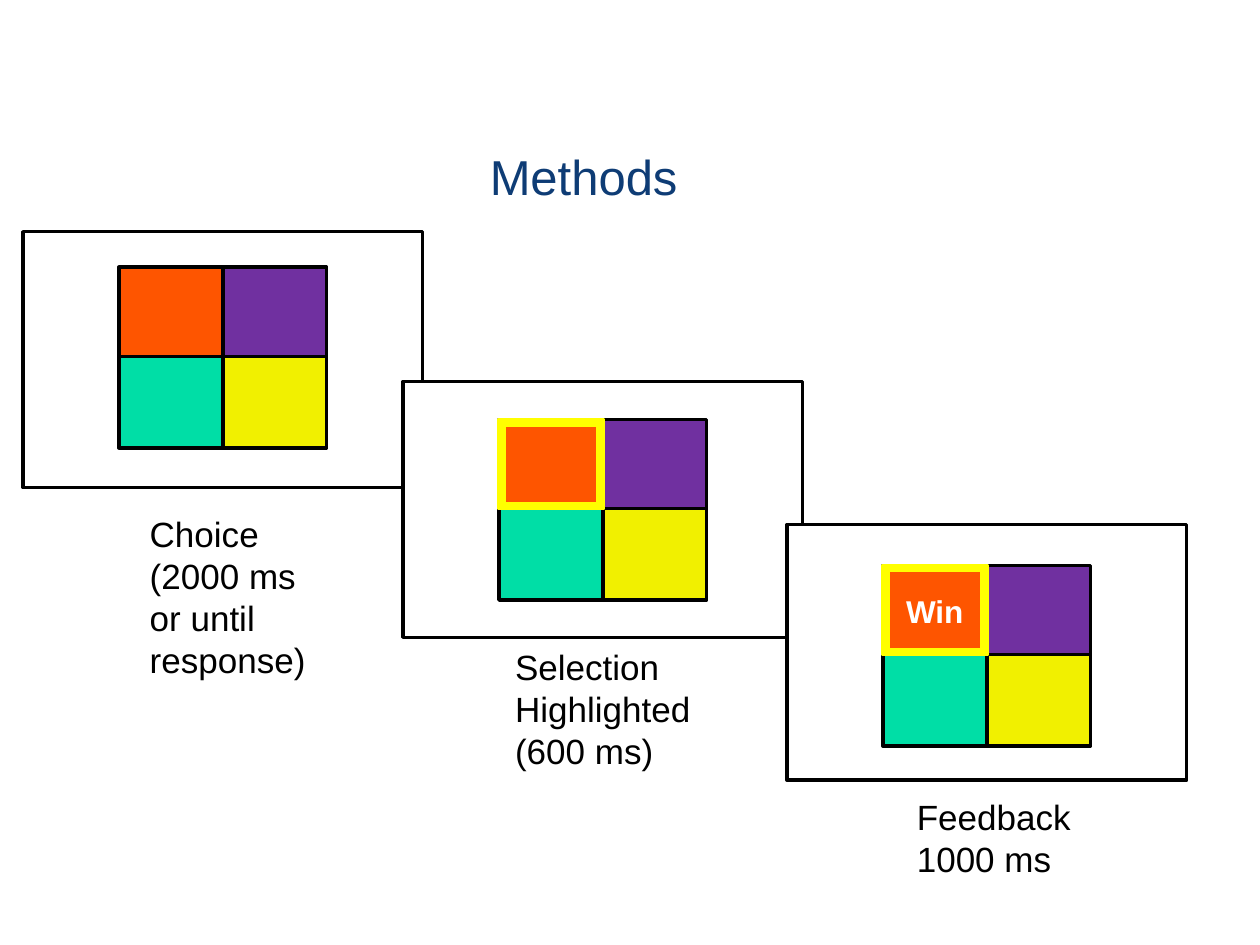
from pptx import Presentation
from pptx.dml.color import RGBColor
from pptx.enum.shapes import MSO_SHAPE
from pptx.enum.text import MSO_ANCHOR, MSO_AUTO_SIZE, PP_ALIGN
from pptx.util import Pt

WHITE = RGBColor(0xFF, 0xFF, 0xFF)
BLACK = RGBColor(0x00, 0x00, 0x00)
NAVY = RGBColor(0x0E, 0x3C, 0x75)
ORANGE = RGBColor(0xFE, 0x55, 0x00)
PURPLE = RGBColor(0x70, 0x30, 0xA0)
GREEN = RGBColor(0x00, 0xDE, 0xA6)
YELLOW = RGBColor(0xF1, 0xF0, 0x00)
HIGHLIGHT = RGBColor(0xFF, 0xFF, 0x00)

CHOICES = [ORANGE, PURPLE, GREEN, YELLOW]
SCREEN_SIZE = (228.3, 146.2)
CELL_SIZE = (59.2, 52.2)
CELL_STEP = (59.5, 51)
GRID_LEFT = 54.8

TITLE_FORMAT = {"size": Pt(28), "name": "Arial", "bold": False}
CAPTION_FORMAT = {"size": Pt(20), "name": "Arial", "bold": False}
OUTCOME_FORMAT = {"size": Pt(18), "name": "Arial", "bold": True}


def write_lines(frame, lines, font_format, color, align):
    for index, line in enumerate(lines):
        paragraph = frame.paragraphs[0] if index == 0 else frame.add_paragraph()
        paragraph.text = line
        paragraph.alignment = align
        for attribute, value in font_format.items():
            setattr(paragraph.font, attribute, value)
        paragraph.font.color.rgb = color


def add_block(shapes, kind, box, fill, outline):
    block = shapes.add_shape(kind, *map(Pt, box))
    block.shadow.inherit = False
    block.fill.solid()
    block.fill.fore_color.rgb = fill
    block.line.color.rgb = outline
    block.line.width = Pt(2)
    return block


def add_title(slide, box):
    frame = slide.shapes.add_textbox(*map(Pt, box)).text_frame
    frame.word_wrap = True
    frame.vertical_anchor = MSO_ANCHOR.MIDDLE
    write_lines(frame, ["Methods"], TITLE_FORMAT, NAVY, PP_ALIGN.CENTER)


def add_caption(slide, box, lines):
    frame = slide.shapes.add_textbox(*map(Pt, box)).text_frame
    frame.word_wrap = True
    frame.auto_size = MSO_AUTO_SIZE.SHAPE_TO_FIT_TEXT
    write_lines(frame, lines, CAPTION_FORMAT, BLACK, PP_ALIGN.LEFT)


def add_screen(slide, box, grid_top, selected, outcome):
    left, top, width, height = box
    shapes = slide.shapes.add_group_shape().shapes
    add_block(shapes, MSO_SHAPE.RECTANGLE, box, WHITE, BLACK)
    grid_x, grid_y = left + GRID_LEFT, top + grid_top
    cells = []
    for index, color in enumerate(CHOICES):
        row, column = divmod(index, 2)
        cell_box = (grid_x + column * CELL_STEP[0],
                    grid_y + row * CELL_STEP[1], *CELL_SIZE)
        cells.append(add_block(shapes, MSO_SHAPE.RECTANGLE, cell_box, color, BLACK))
    if outcome:
        frame = cells[0].text_frame
        frame.vertical_anchor = MSO_ANCHOR.MIDDLE
        write_lines(frame, [outcome], OUTCOME_FORMAT, WHITE, PP_ALIGN.CENTER)
    if selected:
        marker = add_block(shapes, MSO_SHAPE.FRAME, (grid_x, grid_y, *CELL_STEP),
                           HIGHLIGHT, HIGHLIGHT)
        marker.adjustments[0] = 0.06


def main():
    presentation = Presentation()
    presentation.slide_width, presentation.slide_height = Pt(720), Pt(540)
    slide = presentation.slides.add_slide(presentation.slide_layouts[6])
    add_title(slide, (87, 55.5, 493, 90))

    stages = [
        ((13.2, 132.4), 20.3, False, "",
         (78.5, 289.4, 110.2, 104.4), ["Choice", "(2000 ms or until response)"]),
        ((230.4, 218), 21.7, True, "",
         (287.2, 365.2, 126.8, 80), ["Selection Highlighted", "(600 ms)"]),
        ((449.8, 299.7), 23.4, True, "Win",
         (516.8, 450.8, 126.8, 55.4), ["Feedback", "1000 ms"]),
    ]
    for corner, grid_top, selected, outcome, caption_box, lines in stages:
        add_screen(slide, (*corner, *SCREEN_SIZE), grid_top, selected, outcome)
        add_caption(slide, caption_box, lines)

    presentation.save("out.pptx")


if __name__ == "__main__":
    main()
